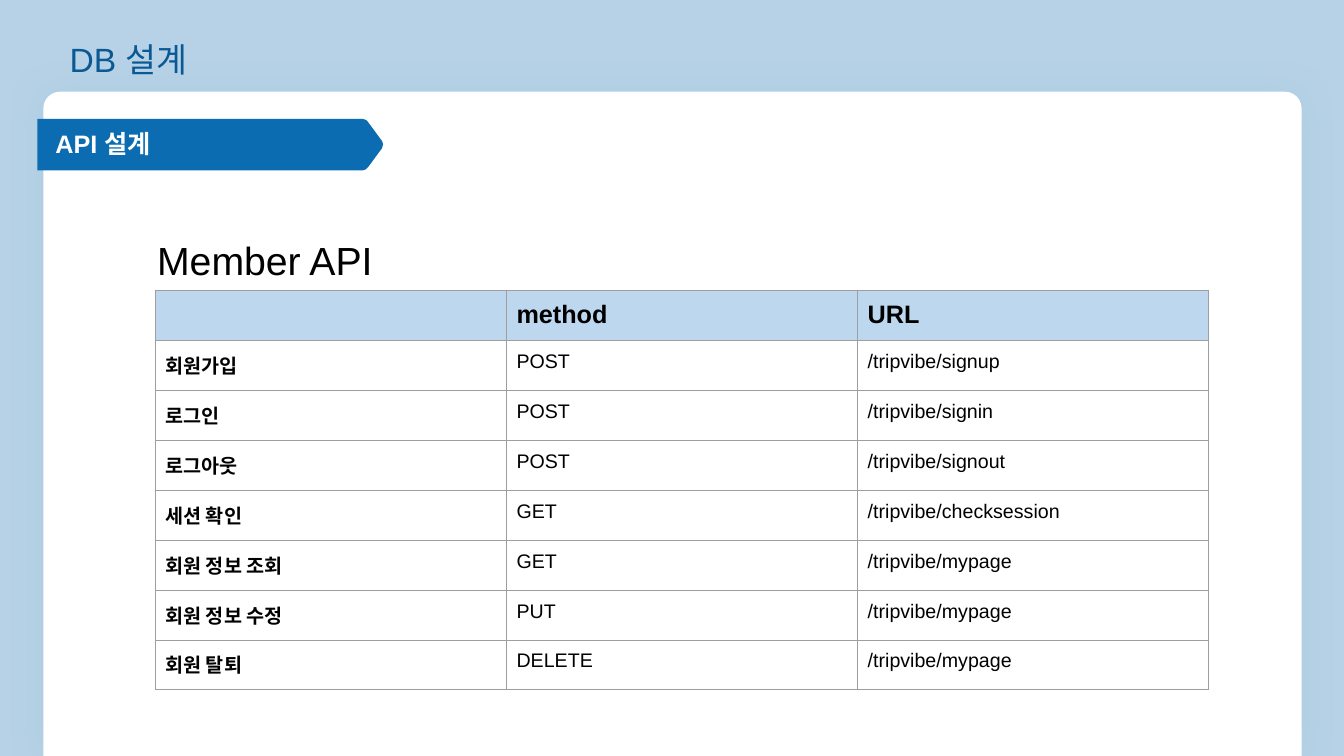
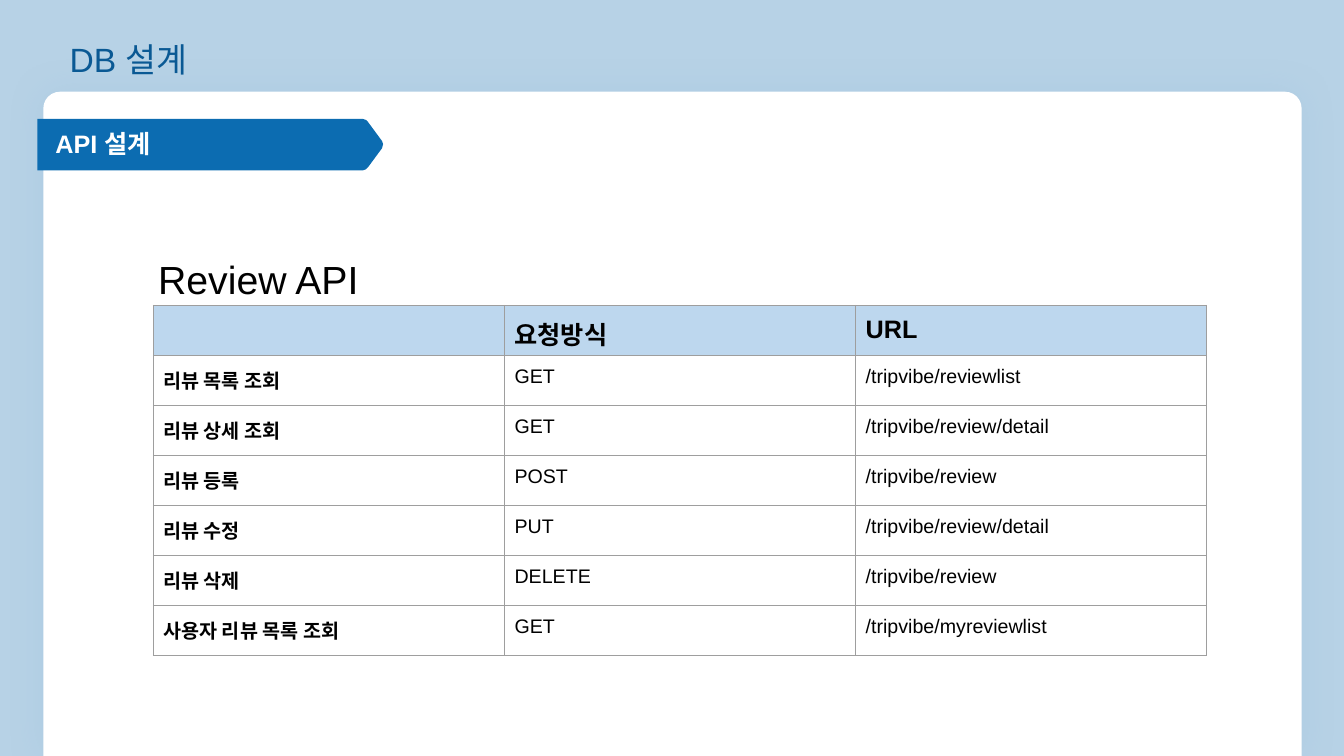
import pptx
import pptx.util
import pptx.dml.color
import pptx.enum.shapes
import pptx.enum.text
import pptx.oxml
import pptx.oxml.ns

Inches = pptx.util.Inches
Pt = pptx.util.Pt
RGB = pptx.dml.color.RGBColor
MID = pptx.enum.text.MSO_ANCHOR.MIDDLE
TOP = pptx.enum.text.MSO_ANCHOR.TOP

SKY = RGB(0xB7, 0xD2, 0xE6)
BLUE = RGB(0x0C, 0x6C, 0xB1)
NAVY = RGB(0x0A, 0x59, 0x94)
PALE = RGB(0xBD, 0xD7, 0xEE)
HAZE = RGB(0x85, 0xB3, 0xD5)
GRAY = RGB(0x9E, 0x9E, 0x9E)
WHITE = RGB(0xFF, 0xFF, 0xFF)
BLACK = RGB(0, 0, 0)
NS = pptx.oxml.ns.nsdecls("a")

PAGES = [
    dict(name="Member API", label=(1.46, 2.24), grid=(1.54, 2.88), rows=[
        ("", "method", "URL"),
        ("회원가입", "POST", "/tripvibe/signup"),
        ("로그인", "POST", "/tripvibe/signin"),
        ("로그아웃", "POST", "/tripvibe/signout"),
        ("세션 확인", "GET", "/tripvibe/checksession"),
        ("회원 정보 조회", "GET", "/tripvibe/mypage"),
        ("회원 정보 수정", "PUT", "/tripvibe/mypage"),
        ("회원 탈퇴", "DELETE", "/tripvibe/mypage"),
    ]),
    dict(name="Review API", label=(1.47, 2.43), grid=(1.52, 3.03), rows=[
        ("", "요청방식", "URL"),
        ("리뷰 목록 조회", "GET", "/tripvibe/reviewlist"),
        ("리뷰 상세 조회", "GET", "/tripvibe/review/detail"),
        ("리뷰 등록", "POST", "/tripvibe/review"),
        ("리뷰 수정", "PUT", "/tripvibe/review/detail"),
        ("리뷰 삭제", "DELETE", "/tripvibe/review"),
        ("사용자 리뷰 목록 조회", "GET", "/tripvibe/myreviewlist"),
    ]),
]


def write(frame, text, size=14, color=BLACK, bold=False, anchor=TOP,
          inset=(0.1, 0.1), spacing=None):
    """Fill a text frame; inset is (sides, top and bottom) in inches."""
    frame.word_wrap = True
    frame.vertical_anchor = anchor
    frame.margin_left = frame.margin_right = Inches(inset[0])
    frame.margin_top = frame.margin_bottom = Inches(inset[1])
    para = frame.paragraphs[0]
    para.alignment = pptx.enum.text.PP_ALIGN.LEFT
    para.line_spacing = spacing
    run = para.add_run()
    run.text = text
    run.font.name = "Arial"
    run.font.size = Pt(size)
    run.font.bold = bold
    run.font.color.rgb = color


def border(cell):
    """Draw a thin grey line on all four sides of a table cell."""
    props = cell._tc.get_or_add_tcPr()
    for side in ("lnL", "lnR", "lnT", "lnB"):
        props.append(pptx.oxml.parse_xml(
            f'<a:{side} {NS} w="{Pt(0.75)}"><a:solidFill>'
            f'<a:srgbClr val="{GRAY}"/></a:solidFill></a:{side}>'))


prs = pptx.Presentation()
prs.slide_width = Inches(13.33)
prs.slide_height = Inches(7.5)

# Shared layout: background and title place
base = prs.slide_layouts[5]
base.background.fill.solid()
base.background.fill.fore_color.rgb = SKY
head = base.placeholders[0]
head.left, head.top = Inches(0.69), Inches(0.38)
head.width, head.height = Inches(11.95), Inches(0.46)

slides = [prs.slides.add_slide(base) for page in PAGES]

# Shared layout: white card with soft shadow
shapes = slides[0].shapes
card = shapes.add_shape(
    pptx.enum.shapes.MSO_SHAPE.ROUND_2_SAME_RECTANGLE,
    Inches(0.43), Inches(0.91), Inches(12.48), Inches(6.59))
card.adjustments[0] = 0.025
card.adjustments[1] = 0

# Shared layout: blue tag with a blunted point
edge = [(3.6, 1.18), (3.63, 1.19), (3.65, 1.21), (3.79, 1.4), (3.8, 1.43),
        (3.79, 1.47), (3.65, 1.66), (3.63, 1.68), (3.6, 1.69), (0.37, 1.69)]
pen = shapes.build_freeform(Inches(0.37), Inches(1.18))
pen.add_line_segments([(Inches(x), Inches(y)) for x, y in edge])
tag = pen.convert_to_shape()

# Paint both, then move them behind the layout's placeholders
for spot, (shape, color) in enumerate([(card, WHITE), (tag, BLUE)], 2):
    shape.shadow.inherit = False
    shape.fill.solid()
    shape.fill.fore_color.rgb = color
    shape.line.fill.background()
    base.shapes.element.insert(spot, shape.element)
glow = card.element.spPr.find(pptx.oxml.ns.qn("a:effectLst"))
glow.append(pptx.oxml.parse_xml(
    f'<a:outerShdw {NS} blurRad="{Pt(26)}" dist="0" dir="0" algn="ctr" '
    f'rotWithShape="0"><a:srgbClr val="{HAZE}"><a:alpha val="20000"/>'
    '</a:srgbClr></a:outerShdw>'))

for slide, page in zip(slides, PAGES):
    # Headings
    write(slide.shapes.title.text_frame, "DB 설계", size=24, color=NAVY,
          anchor=MID, inset=(0, 0.05), spacing=0.9)
    box = slide.shapes.add_textbox(
        Inches(0.55), Inches(1.27), Inches(2.6), Inches(0.3))
    write(box.text_frame, "API 설계", size=18, color=WHITE, bold=True,
          anchor=MID, inset=(0, 0))
    x, y = page["label"]
    box = slide.shapes.add_textbox(
        Inches(x), Inches(y), Inches(3.92), Inches(0.46))
    write(box.text_frame, page["name"], size=28)

    # Table of endpoints
    rows = page["rows"]
    x, y = page["grid"]
    grid = slide.shapes.add_table(
        len(rows), 3, Inches(x), Inches(y), Inches(10.45),
        Inches(3.96) * len(rows) // 8).table
    for r, row in enumerate(rows):
        for c, text in enumerate(row):
            cell = grid.cell(r, c)
            border(cell)
            if r == 0:
                cell.fill.solid()
                cell.fill.fore_color.rgb = PALE
            else:
                cell.fill.background()
            cell.margin_left = cell.margin_right = Inches(0.1)
            cell.margin_top = cell.margin_bottom = Inches(0.1)
            if text:
                write(cell.text_frame, text, size=14 if r else 18,
                      bold=r == 0 or c == 0)

prs.save("out.pptx")
